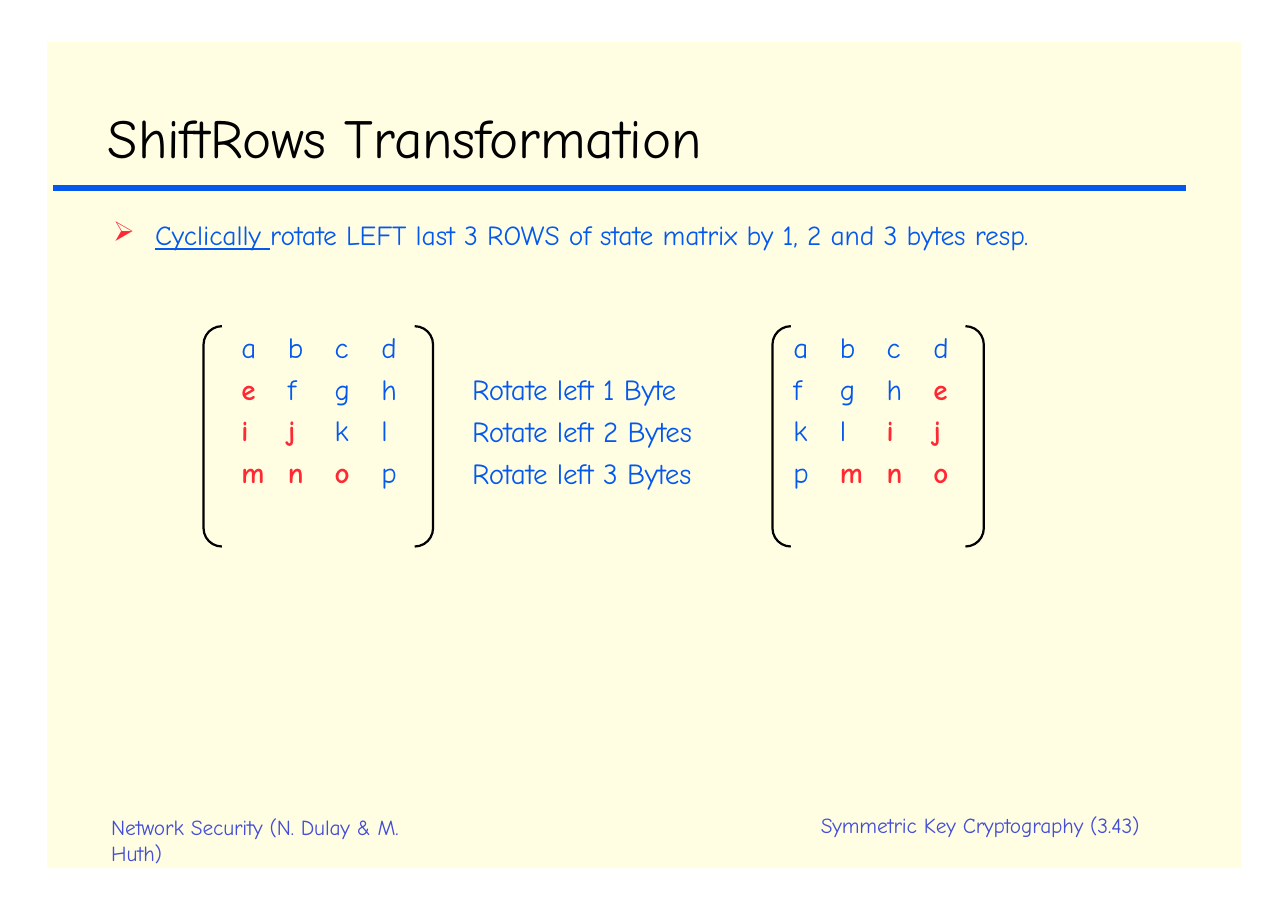
from itertools import groupby
from typing import NamedTuple

from lxml import etree
from pptx import Presentation
from pptx.dml.color import RGBColor
from pptx.enum import shapes, text
from pptx.oxml import ns
from pptx.util import Pt

BLACK = RGBColor(0x00, 0x00, 0x00)
CREAM = RGBColor(0xFF, 0xFE, 0xE2)
BLUE = RGBColor(0x05, 0x58, 0xED)
RED = RGBColor(0xFF, 0x28, 0x33)
VIOLET = RGBColor(0x43, 0x4D, 0xD6)
FONT = "Comic Neue"
MOVED = "eijmno"
COLUMN = 30.5


class Span(NamedTuple):
    words: str
    color: RGBColor = BLUE
    bold: bool = False
    under: bool = False


class Line(NamedTuple):
    spans: list[Span]
    before: float = 0
    pitch: float | Pt | None = None


class Box(NamedTuple):
    left: float
    top: float
    width: float
    height: float
    size: float
    lines: list[Line]
    spacing: float = -0.1
    tabs: int = 0
    bullet: str = ""


class Matrix(NamedTuple):
    left: float
    rows: list[str]
    open: float
    close: float


def add(parent, tag: str, **attrs: str):
    return etree.SubElement(parent, ns.qn(tag), **attrs)


def set_bullet(para, mark: str) -> None:
    props = para._p.get_or_add_pPr()
    props.set("marL", str(Pt(28)))
    props.set("indent", str(Pt(-27.5)))
    add(add(props, "a:buClr"), "a:srgbClr", val=str(RED))
    add(props, "a:buChar", char=mark)


def set_tabs(para, count: int) -> None:
    stops = add(para._p.get_or_add_pPr(), "a:tabLst")
    for i in range(1, count + 1):
        add(stops, "a:tab", pos=str(Pt(COLUMN * i)), algn="l")


def draw_box(slide, box: Box) -> None:
    frame = slide.shapes.add_textbox(
        Pt(box.left), Pt(box.top), Pt(box.width), Pt(box.height)).text_frame
    frame.word_wrap = True
    frame.margin_left = frame.margin_right = 0
    frame.margin_top = frame.margin_bottom = 0
    for i, line in enumerate(box.lines):
        para = frame.add_paragraph() if i else frame.paragraphs[0]
        if box.bullet:
            set_bullet(para, box.bullet)
        if box.tabs:
            set_tabs(para, box.tabs)
        if line.before:
            para.space_before = Pt(line.before)
        if line.pitch:
            para.line_spacing = line.pitch
        for span in line.spans:
            run = para.add_run()
            run.text = span.words
            font = run.font
            font.name, font.size = FONT, Pt(box.size)
            font.bold, font.underline = span.bold, span.under
            font.color.rgb = span.color
            if box.spacing:
                run._r.get_or_add_rPr().set("spc", str(round(box.spacing * 100)))


def split_row(row: str) -> list[Span]:
    """Join neighbouring letters of one colour, with a tab after each letter but the last."""
    cells = [c + "\t" for c in row[:-1]] + [row[-1]]
    return [Span("".join(group), RED if moved else BLUE, moved)
            for moved, group in groupby(cells, lambda cell: cell[0] in MOVED)]


def draw_bracket(slide, kind: shapes.MSO_SHAPE, left: float) -> None:
    shape = slide.shapes.add_shape(kind, Pt(left), Pt(213.2), Pt(12), Pt(144))
    shape.adjustments[0] = 1
    shape.shadow.inherit = False
    shape.fill.background()
    shape.line.color.rgb = BLACK
    shape.line.width = Pt(1.44)


def draw_matrix(slide, matrix: Matrix) -> None:
    lines = [Line(split_row(row), 4.4 if i else 0) for i, row in enumerate(matrix.rows)]
    draw_box(slide, Box(matrix.left, 215.3, 115, 106, 19, lines, tabs=3))
    draw_bracket(slide, shapes.MSO_SHAPE.LEFT_BRACKET, matrix.open)
    draw_bracket(slide, shapes.MSO_SHAPE.RIGHT_BRACKET, matrix.close)


def draw_base(slide) -> None:
    page = slide.shapes.add_shape(
        shapes.MSO_SHAPE.RECTANGLE, Pt(31), Pt(27.4), Pt(780), Pt(540))
    page.shadow.inherit = False
    page.fill.solid()
    page.fill.fore_color.rgb = CREAM
    page.line.fill.background()
    rule = slide.shapes.add_connector(
        shapes.MSO_CONNECTOR.STRAIGHT, Pt(34.6), Pt(123), Pt(775), Pt(123))
    rule.line.color.rgb = BLUE
    rule.line.width = Pt(4.08)
    add(rule._element.spPr, "a:effectLst")


TURNS = ["Rotate left 1 Byte", "Rotate left 2 Bytes", "Rotate left 3 Bytes"]
TIGHT = Pt(14.8)
BOXES = [
    Box(70.5, 67.7, 700, 51, 36, [Line([Span("ShiftRows Transformation", BLACK)])]),
    Box(73.4, 142.6, 677, 23, 18, [Line([
        Span("Cyclically ", under=True),
        Span("rotate LEFT last 3 ROWS of state matrix by 1, 2 and 3 bytes resp."),
    ])], spacing=-0.04, bullet="➢"),
    Box(308.5, 238.3, 175, 83, 19, [Line([Span(turn)], pitch=1.2) for turn in TURNS]),
    Box(536.4, 532.8, 236, 16, 14,
        [Line([Span("Symmetric Key Cryptography (3.43)", VIOLET)], pitch=TIGHT)]),
    Box(72.7, 534.2, 216, 32, 14, [
        Line([Span("Network Security (N. Dulay & M.", VIOLET)], pitch=TIGHT),
        Line([Span("Huth)", VIOLET)]),
    ]),
]
MATRICES = [
    Matrix(157.7, ["abcd", "efgh", "ijkl", "mnop"], 133, 271),
    Matrix(518.4, ["abcd", "fghe", "klij", "pmno"], 504.8, 630.9),
]


def main() -> None:
    deck = Presentation()
    deck.slide_width, deck.slide_height = Pt(841.7), Pt(594.7)
    slide = deck.slides.add_slide(deck.slide_layouts[6])
    draw_base(slide)
    for box in BOXES:
        draw_box(slide, box)
    for matrix in MATRICES:
        draw_matrix(slide, matrix)
    deck.save("out.pptx")


if __name__ == "__main__":
    main()
